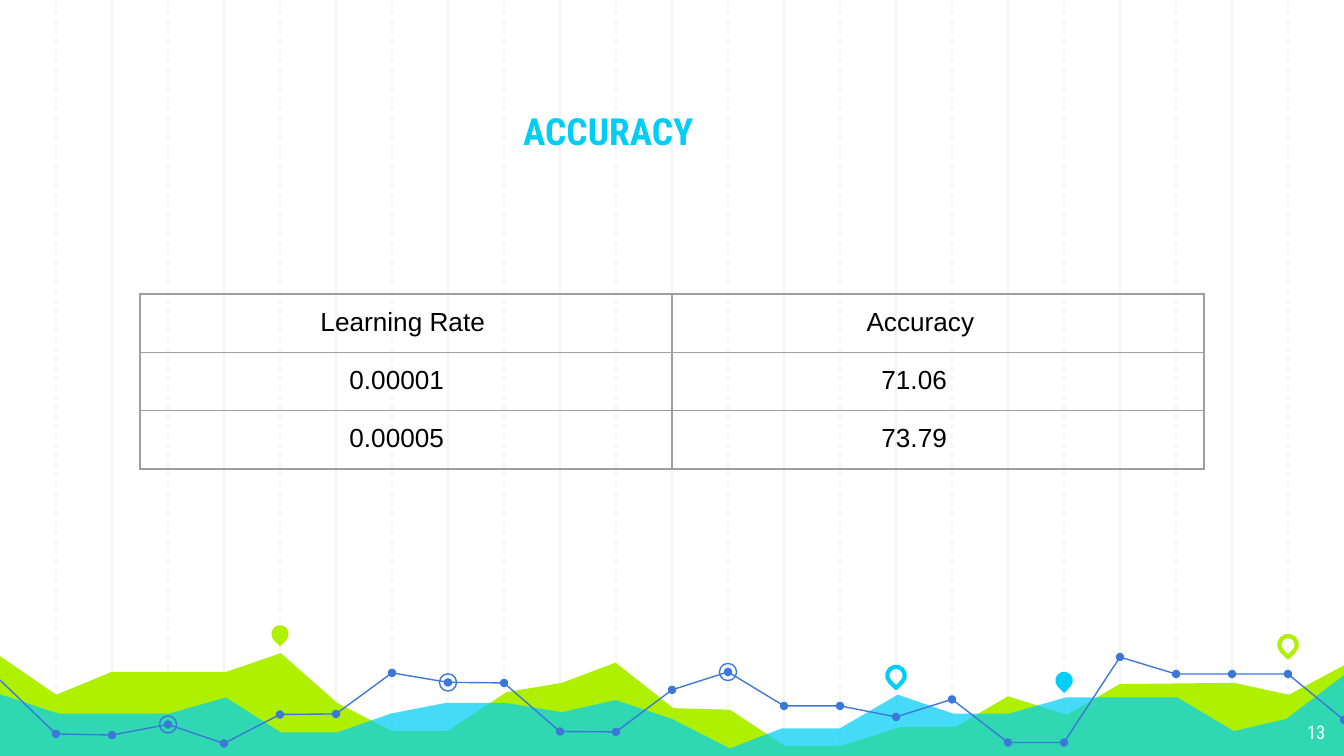
"""Build the accuracy table slide above a decorative chart landscape."""
from lxml import etree
from pptx import Presentation
from pptx.dml.color import RGBColor
from pptx.enum.dml import MSO_LINE
from pptx.enum.shapes import MSO_CONNECTOR, MSO_SHAPE
from pptx.enum.text import MSO_ANCHOR, PP_ALIGN
from pptx.oxml.ns import qn
from pptx.util import Pt

STRAIGHT = MSO_CONNECTOR.STRAIGHT
OVAL, TEARDROP = MSO_SHAPE.OVAL, MSO_SHAPE.TEAR
DASH = MSO_LINE.DASH
TOP, BOTTOM = MSO_ANCHOR.TOP, MSO_ANCHOR.BOTTOM
LEFT, RIGHT = PP_ALIGN.LEFT, PP_ALIGN.RIGHT

GREEN, CYAN, BLUE, PALE, GRAY = "AFF000", "00CEF6", "3C78D8", "F3F3F3", "9E9E9E"
STEP = 30
INSET = Pt(7.2)


def paint(shape, fill=None, line=None, width=0.75):
    """Set fill and outline, and switch the shadow off."""
    targets = {"line": line} if shape.shape_type == 9 else {"fill": fill, "line": line}
    for name, color in targets.items():
        part = getattr(shape, name)
        format_ = part.fill if name == "line" else part
        if color:
            format_.solid()
            format_.fore_color.rgb = RGBColor.from_string(color)
        else:
            format_.background()
    if line:
        shape.line.width = Pt(width)
    etree.SubElement(shape._element.spPr, qn("a:effectLst"))


def write(frame, text, color, font_values, align=LEFT, indent=0):
    """Write one paragraph with an optional left indent."""
    para = frame.paragraphs[0]
    para.alignment = align
    para._p.get_or_add_pPr().set("marL", str(Pt(indent)))
    span = para.add_run()
    span.text = text
    span.font.color.rgb = RGBColor.from_string(color)
    for name, value in font_values.items():
        setattr(span.font, name, value)


deck = Presentation()
deck.slide_width, deck.slide_height = Pt(720), Pt(405)
page = deck.slides.add_slide(deck.slide_layouts[6])
shapes = page.shapes

for first, dash in ((2, None), (1, DASH)):
    for column in range(first, 24, 2):
        x = Pt(column * STEP)
        grid_line = shapes.add_connector(STRAIGHT, x, 0, x, Pt(406.8))
        grid_line.line.dash_style = dash
        paint(grid_line, line=PALE)

green_area = [
    (-1.4, 350.6), (30.2, 372.2), (59.8, 360), (121, 360), (150.5, 349.9),
    (180.7, 376.6), (210.2, 391.7), (239.8, 391.7), (271.4, 370.8), (301, 365.8),
    (329.8, 355), (360.7, 379.4), (391, 380.2), (420.5, 399.6), (450.7, 399.6),
    (482.4, 389.5), (511.9, 389.5), (540, 373), (571.7, 383), (599.8, 366.5),
    (661, 365.8), (690.5, 372.2), (721.4, 355.7), (720.7, 406.1), (-2.2, 406.1),
]
cyan_area = [
    (-1.4, 371.5), (31, 382.3), (90.7, 382.3), (121, 373.7), (150.5, 392.4),
    (180.7, 392.4), (209.5, 382.3), (239, 376.6), (270.7, 376.6), (301, 381.6),
    (329.8, 375.1), (360, 385.2), (391, 401), (419, 390.2), (450, 390.2),
    (481, 372.2), (510.5, 382.3), (540.7, 382.3), (571, 373.7), (630.7, 373.7),
    (661, 391.7), (689, 385.2), (721.4, 360.7), (721.4, 406.8), (-2.2, 406.8),
]
heights = [
    364.3, 393.2, 393.8, 388.1, 398.3, 382.8, 382.5, 360.5, 365.6, 365.9, 391.9, 392.1, 369.6,
    360, 378.2, 378.2, 384.1, 374.7, 397.8, 397.8, 352, 361.1, 361.1, 361.1, 385.7,
]
trend = [(column * STEP, y) for column, y in enumerate(heights)]
outlines = [
    (green_area, GREEN, None), (cyan_area, CYAN, None),
    (trend[:12], None, BLUE), (trend[11:21], None, BLUE), (trend[20:], None, BLUE),
]
for points, fill, line in outlines:
    corners = [(Pt(x), Pt(y)) for x, y in points]
    builder = shapes.build_freeform(*corners[0], scale=1)
    builder.add_line_segments(corners[1:], close=bool(fill))
    outline = builder.convert_to_shape()
    paint(outline, fill, line)
    if fill == CYAN:
        tint = outline._element.spPr.find(qn("a:solidFill"))[0]
        etree.SubElement(tint, qn("a:alpha")).set("val", "73000")

marks = [(OVAL, x, y, 4.5, BLUE, None, 0.75) for x, y in trend[1:]]
marks += [(OVAL, *trend[column], 9.2, None, BLUE, 0.75) for column in (3, 8, 13)]
marks += [
    (TEARDROP, 150, 339.6, 9.4, GREEN, None, 2.25),
    (TEARDROP, 480, 361.9, 9.4, None, CYAN, 2.25),
    (TEARDROP, 570, 364.6, 9.4, CYAN, None, 2.25),
    (TEARDROP, 690, 345.4, 9.4, None, GREEN, 2.25),
]
for kind, x, y, size, fill, line, width in marks:
    mark = shapes.add_shape(kind, Pt(x - size / 2), Pt(y - size / 2), Pt(size), Pt(size))
    mark.rotation = 135 if kind == TEARDROP else 0
    paint(mark, fill, line, width)

condensed = {"name": "Roboto Condensed"}
labels = [
    ("ACCURACY", (84.2, 45.4, 550.8, 43.9), BOTTOM, LEFT, 189, CYAN, {"size": Pt(20), "bold": True}),
    ("13", (673.9, 380.2, 43.2, 25.2), TOP, RIGHT, 0, "FFFFFF", {"size": Pt(10)}),
]
for text, place, anchor, align, indent, color, values in labels:
    box = shapes.add_textbox(*(Pt(length) for length in place))
    frame_values = {"word_wrap": True, "vertical_anchor": anchor}
    frame_values |= {f"margin_{side}": INSET for side in ("left", "top", "right", "bottom")}
    for name, value in frame_values.items():
        setattr(box.text_frame, name, value)
    write(box.text_frame, text, color, condensed | values, align, indent)

rows = [
    [("Learning Rate", 89.5), ("Accuracy", 97)],
    [("0.00001", 105), ("71.06", 105)],
    [("0.00005", 105), ("73.79", 105)],
]
table = shapes.add_table(3, 2, Pt(75), Pt(157.5), Pt(570), Pt(90)).table
table.first_row = table.horz_banding = False
for row_index, row in enumerate(rows):
    for column_index, (text, indent) in enumerate(row):
        cell = table.cell(row_index, column_index)
        cell.fill.background()
        for side in ("left", "top", "right", "bottom"):
            setattr(cell, f"margin_{side}", INSET)
        write(cell.text_frame, text, "000000", {"name": "Arial", "size": Pt(14)}, LEFT, indent)
        cell_format = cell._tc.get_or_add_tcPr()
        for position, edge in enumerate(("lnL", "lnR", "lnT", "lnB")):
            border = etree.Element(qn(f"a:{edge}"), w=str(Pt(0.75)))
            border_fill = etree.SubElement(border, qn("a:solidFill"))
            etree.SubElement(border_fill, qn("a:srgbClr"), val=GRAY)
            cell_format.insert(position, border)

deck.save("out.pptx")
